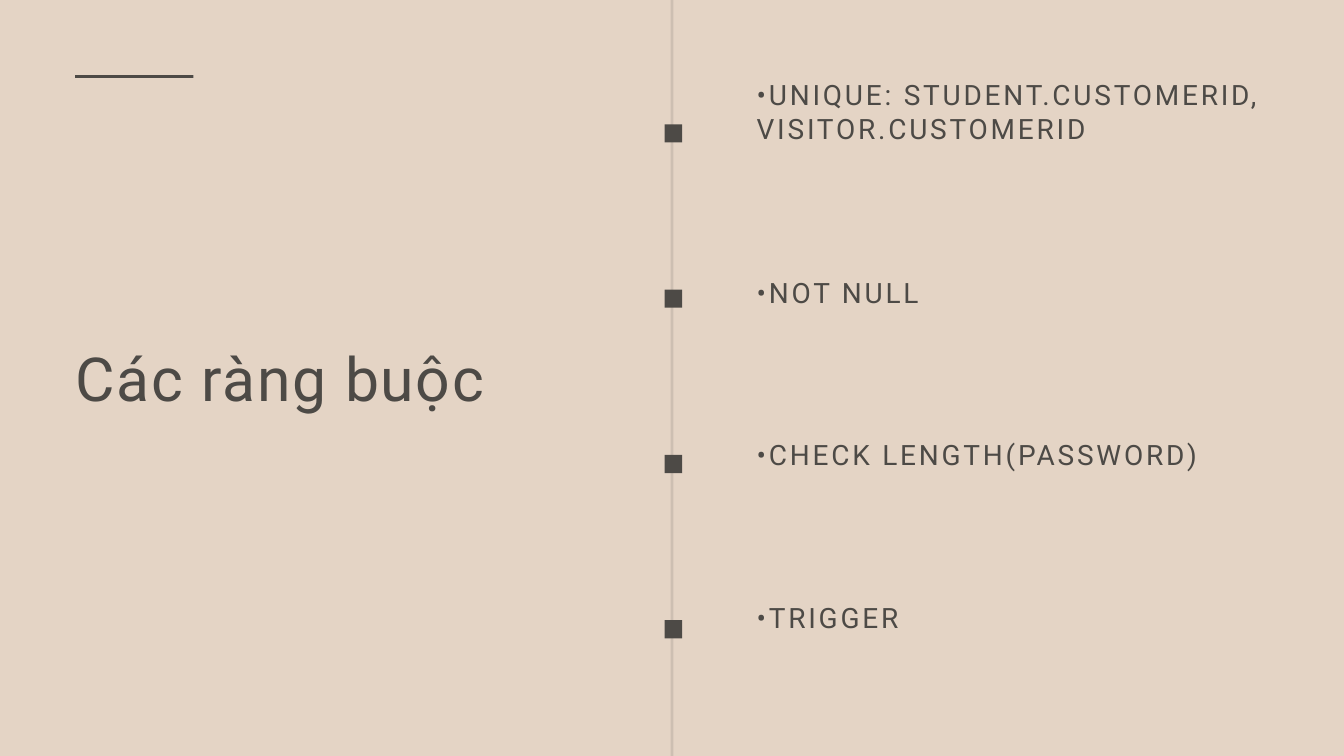
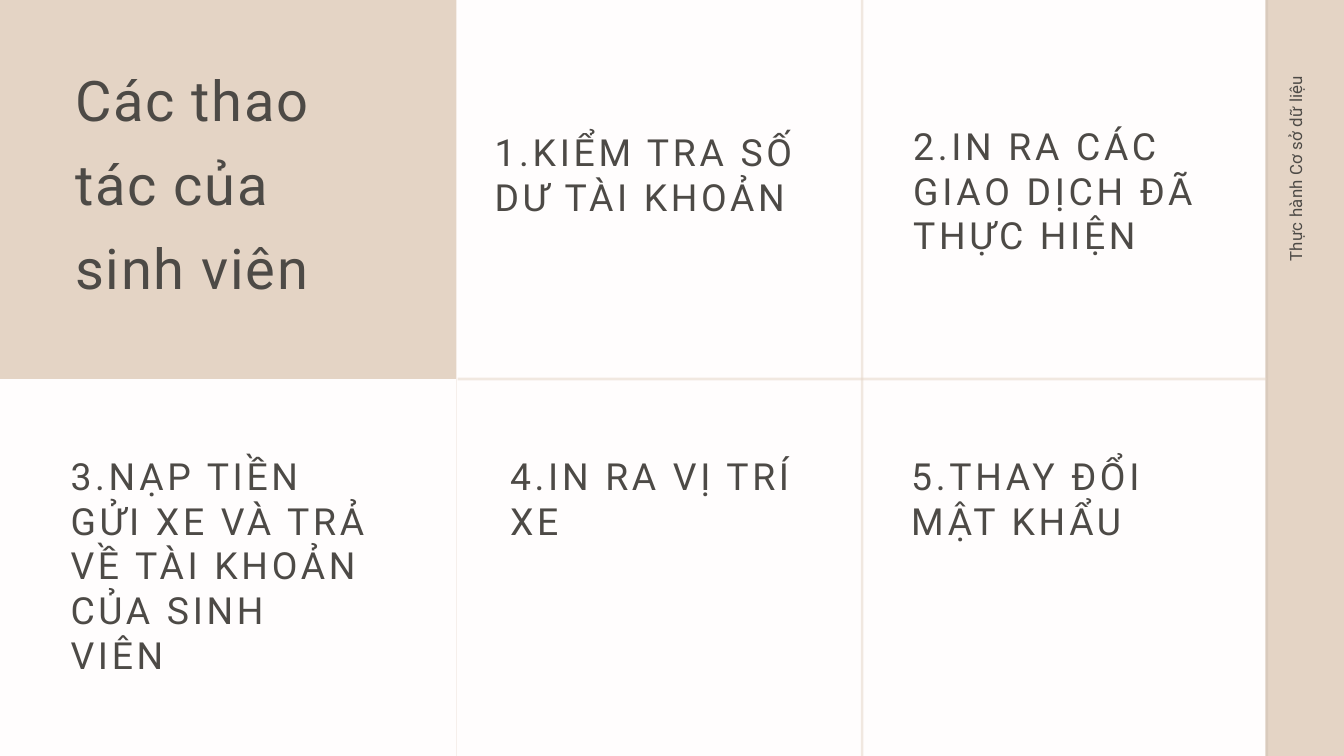
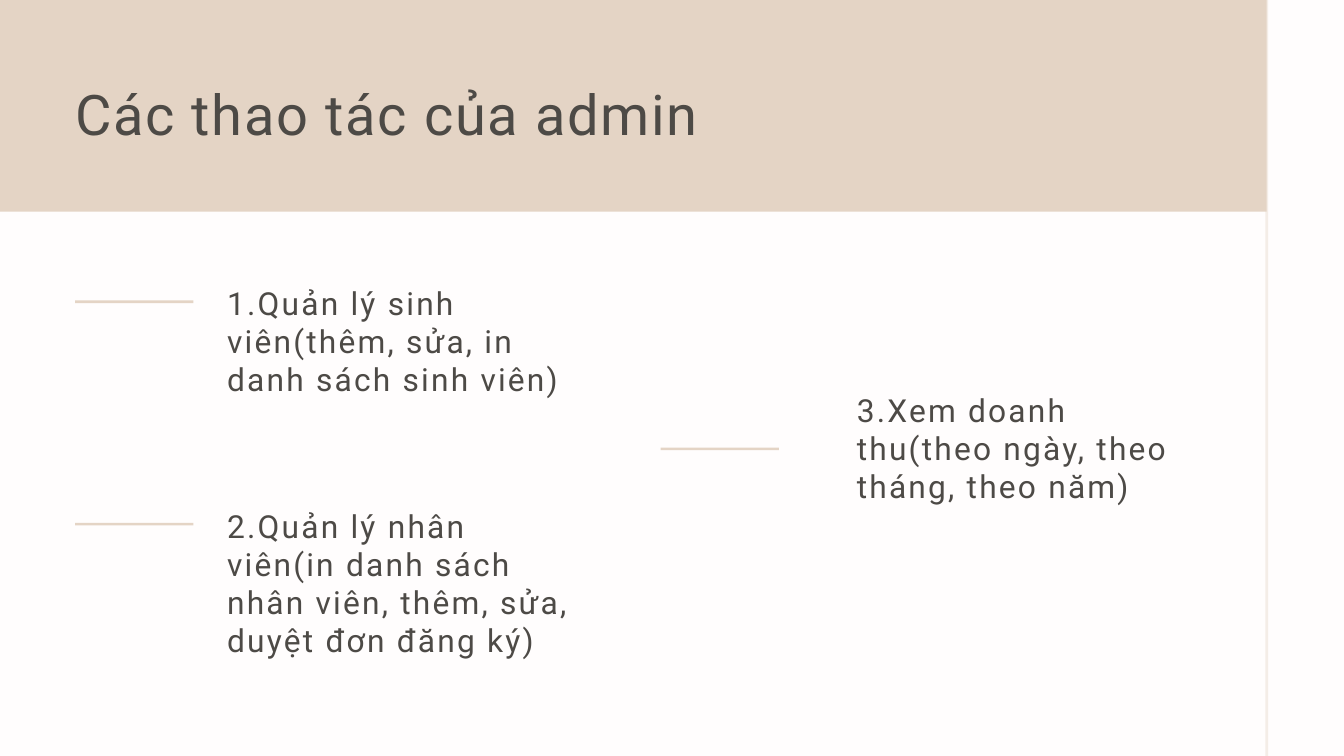
from lxml import etree
from pptx import Presentation
from pptx.dml.color import RGBColor
from pptx.enum.shapes import MSO_SHAPE
from pptx.enum.text import PP_ALIGN
from pptx.oxml.ns import qn
from pptx.util import Inches, Pt

RECTANGLE = MSO_SHAPE.RECTANGLE
LEFT, RIGHT = PP_ALIGN.LEFT, PP_ALIGN.RIGHT

COLORS = {"sand": "E4D4C5", "ink": "4D4A46", "paper": "FFFDFD"}
FONT = "Roboto"
MARGIN = 1.12
THIN = 0.04
DASH_WIDTH = 1.76
RULE_HEIGHT = 12.14
SIDE_RULE_X = 18.83

# Text styles: size, line spacing and letter spacing, all in points
COVER_TITLE = (65, 78, 1.9)
TITLE = (60, 90, 1.8)
CONSTRAINT = (30, 36, 3)
STUDENT_ACTION = (40, 48, 4)
ADMIN_ACTION = (34, 40.8, 2.4)
SIDE_LABEL = (18, 27, 0.2)


def add_page(deck, background):
    page = deck.slides.add_slide(deck.slide_layouts[6])
    page.background.fill.solid()
    page.background.fill.fore_color.rgb = RGBColor.from_string(COLORS[background])
    return page


def add_block(page, left, top, width, height, color, opacity=100):
    """Add a borderless rectangle; opacity is a percentage."""
    block = page.shapes.add_shape(
        RECTANGLE, Inches(left), Inches(top), Inches(width), Inches(height))
    block.shadow.inherit = False
    block.line.fill.background()
    block.fill.solid()
    block.fill.fore_color.rgb = RGBColor.from_string(COLORS[color])
    if opacity < 100:
        tint = block._element.spPr.find(".//" + qn("a:srgbClr"))
        etree.SubElement(tint, qn("a:alpha")).set("val", str(opacity * 1000))


def add_dash(page, left, top, color):
    add_block(page, left, top, DASH_WIDTH, THIN, color)


def add_vertical_rule(page, left, top, color, opacity):
    add_block(page, left, top, THIN, RULE_HEIGHT, color, opacity)


def add_text(page, left, top, width, height, text, style, align=LEFT, rotation=0):
    size, line_spacing, letter_spacing = style
    box = page.shapes.add_textbox(
        Inches(left), Inches(top), Inches(width), Inches(height))
    box.rotation = rotation
    frame = box.text_frame
    frame.word_wrap = True
    frame.margin_left = frame.margin_right = 0
    frame.margin_top = frame.margin_bottom = 0
    para = frame.paragraphs[0]
    para.text = text
    para.alignment = align
    para.line_spacing = Pt(line_spacing)
    para.font.name = FONT
    para.font.size = Pt(size)
    para.font.color.rgb = RGBColor.from_string(COLORS["ink"])
    para.font._element.set("spc", str(round(letter_spacing * 100)))


def build_constraints(deck):
    page = add_page(deck, "sand")
    add_dash(page, MARGIN, 1.12, "ink")
    add_text(page, MARGIN, 5.07, 7.36, 1.09, "Các ràng buộc", COVER_TITLE)
    add_vertical_rule(page, 9.98, -0.44, "ink", 15)
    constraints = [
        (1.16, 2, "•UNIQUE: STUDENT.CUSTOMERID, VISITOR.CUSTOMERID"),
        (4.1, 1, "•NOT NULL"),
        (6.51, 1, "•CHECK LENGTH(PASSWORD)"),
        (8.93, 1, "•TRIGGER"),
    ]
    marker_top, marker_step = 1.85, 2.46
    for index, (top, height, text) in enumerate(constraints):
        add_block(page, 9.89, marker_top + index * marker_step, 0.26, 0.27, "ink")
        add_text(page, 11.26, top, 7.62, height, text, CONSTRAINT)


def build_student_actions(deck):
    page = add_page(deck, "sand")
    add_text(page, MARGIN, 0.72, 4.57, 3.69, "Các thao tác của sinh viên", TITLE)
    add_text(page, 16.36, 3.82, 6.12, 0.74, "Thực hành Cơ sở dữ liệu",
             SIDE_LABEL, RIGHT, 270)
    add_vertical_rule(page, SIDE_RULE_X, -0.25, "ink", 7)
    for left, top in [(6.79, -0.25), (-5.25, 5.64)]:
        add_block(page, left, top, 12.04, 11.68, "paper")
    add_block(page, 12.81, -0.25, THIN, 11.68, "sand", 50)
    add_block(page, 6.81, 5.62, 12.04, THIN, "sand", 50)
    actions = [
        (7.36, 1.93, 5.27, 1.97, "1.KIỂM TRA SỐ DƯ TÀI KHOẢN"),
        (13.59, 1.83, 4.5, 3.28, "2.IN RA CÁC GIAO DỊCH ĐÃ THỰC HIỆN"),
        (1.05, 6.74, 4.5, 3.94,
         "3.NẠP TIỀN GỬI XE VÀ TRẢ VỀ TÀI KHOẢN CỦA SINH VIÊN"),
        (7.59, 6.74, 4.5, 1.97, "4.IN RA VỊ TRÍ XE"),
        (13.56, 6.74, 4.5, 1.97, "5.THAY ĐỔI MẬT KHẨU"),
    ]
    for left, top, width, height, text in actions:
        add_text(page, left, top, width, height, text, STUDENT_ACTION)


def build_admin_actions(deck):
    page = add_page(deck, "paper")
    add_block(page, -0.34, -0.16, 19.19, 3.31, "sand")
    add_text(page, MARGIN, 0.93, 10.28, 1.19, "Các thao tác của admin", TITLE)
    add_vertical_rule(page, SIDE_RULE_X, -0.25, "sand", 39)
    for left, top in [(MARGIN, 4.47), (MARGIN, 7.78), (9.83, 6.66)]:
        add_dash(page, left, top, "sand")
    actions = [
        (3.38, 4.22, 5.27, 2.25,
         "1.Quản lý sinh viên(thêm, sửa, in danh sách sinh viên)"),
        (3.38, 7.54, 5.27, 3.38,
         "2.Quản lý nhân viên(in danh sách nhân viên, thêm, sửa, duyệt đơn đăng ký)"),
        (12.75, 5.81, 5.19, 2.25,
         "3.Xem doanh thu(theo ngày, theo tháng, theo năm)"),
    ]
    for left, top, width, height, text in actions:
        add_text(page, left, top, width, height, text, ADMIN_ACTION)


def main():
    deck = Presentation()
    deck.slide_width = Inches(20)
    deck.slide_height = Inches(11.25)
    build_constraints(deck)
    build_student_actions(deck)
    build_admin_actions(deck)
    deck.save("out.pptx")


if __name__ == "__main__":
    main()
